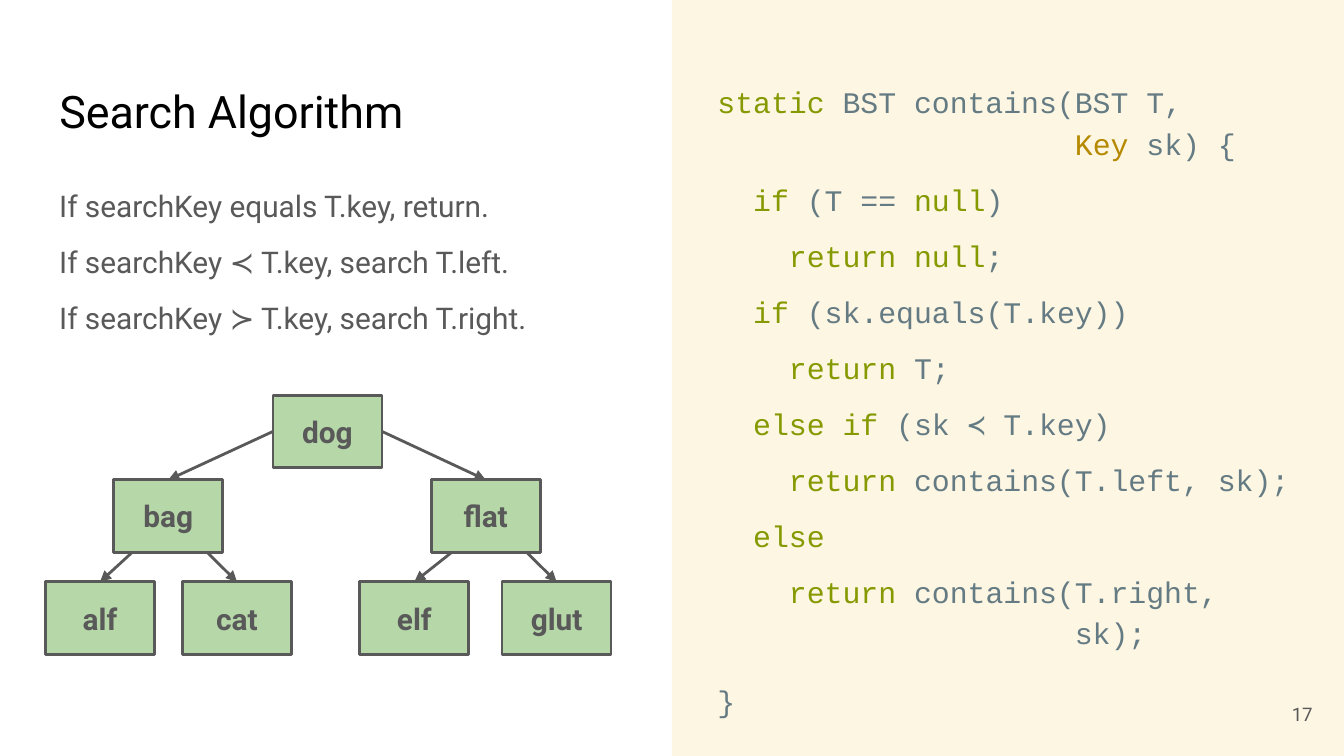
from copy import deepcopy

from lxml import etree
from pptx import Presentation
from pptx.dml.color import RGBColor
from pptx.enum import shapes, text
from pptx.oxml import ns
from pptx.util import Cm, Pt

SANS, MONO = "Roboto", "Courier New"
BLACK, GRAY, GREEN, CREAM = "000000", "595959", "B6D7A8", "FDF6E3"
CODE_PLAIN, CODE_KEYWORD, CODE_TYPE = "657B83", "859900", "B58900"
TYPES = {"Key"}

# Backticks enclose the highlighted words.
CODE = [
    "`static` BST contains(BST T,\n                    `Key` sk) {",
    "  `if` (T == `null`)",
    "    `return null`;",
    "  `if` (sk.equals(T.key))",
    "    `return` T;",
    "  `else if` (sk ≺ T.key)",
    "    `return` contains(T.left, sk);",
    "  `else`",
    "    `return` contains(T.right,\n                    sk);",
    "}",
]
RULES = [
    "If searchKey equals T.key, return.",
    "If searchKey ≺ T.key, search T.left.",
    "If searchKey ≻ T.key, search T.right.",
]

NODE_WIDTH, NODE_HEIGHT = 2.06, 1.37
LEVEL_TOPS = [0, 1.6, 3.53]
# key: (level, left)
NODES = {
    "dog": (0, 4.3), "bag": (1, 1.29), "flat": (1, 7.29),
    "alf": (2, 0), "cat": (2, 2.59), "elf": (2, 5.94), "glut": (2, 8.63),
}
ROOT_EDGES = [("bag", 1), ("flat", 3)]
# parent, child, start measured from the parent's top centre
LEAF_EDGES = [
    ("bag", "alf", -0.3, 1.02), ("bag", "cat", 0.5, 1.14),
    ("flat", "elf", -0.39, 1.17), ("flat", "glut", 0.57, 1.17),
]


def color(value):
    return RGBColor.from_string(value)


def add_run(paragraph, words, font, size, value, bold=False):
    run = paragraph.add_run()
    run.text = words
    run.font.name = font
    run.font.size = Pt(size)
    run.font.bold = bold
    run.font.color.rgb = color(value)
    return run


def set_frame(shape, anchor, side=0.25):
    frame = shape.text_frame
    frame.word_wrap = True
    frame.auto_size = text.MSO_AUTO_SIZE.NONE
    frame.vertical_anchor = anchor
    frame.margin_left = frame.margin_right = Cm(side)
    frame.margin_top = frame.margin_bottom = Cm(0.25)
    return frame


def add_text_box(slide, box, anchor=text.MSO_ANCHOR.TOP, side=0.25):
    shape = slide.shapes.add_textbox(*map(Cm, box))
    return set_frame(shape, anchor, side)


def add_rectangle(slide, box, fill):
    shape = slide.shapes.add_shape(shapes.MSO_SHAPE.RECTANGLE, *map(Cm, box))
    shape.shadow.inherit = False
    shape.fill.solid()
    shape.fill.fore_color.rgb = color(fill)
    shape.line.fill.background()
    return shape


def spaced_paragraphs(frame, count):
    for index in range(count):
        paragraph = frame.add_paragraph() if index else frame.paragraphs[0]
        paragraph.line_spacing = 1.15
        paragraph.space_before = Pt(8 if index else 0)
        yield paragraph


def add_title(slide, box):
    title = slide.shapes.title
    title.left, title.top, title.width, title.height = map(Cm, box)
    paragraph = set_frame(title, text.MSO_ANCHOR.BOTTOM).paragraphs[0]
    paragraph.alignment = text.PP_ALIGN.LEFT
    add_run(paragraph, "Search Algorithm", SANS, 24, BLACK)


def add_rules(slide, box):
    frame = add_text_box(slide, box)
    for paragraph, rule in zip(spaced_paragraphs(frame, len(RULES)), RULES):
        add_run(paragraph, rule, SANS, 16, GRAY)


def add_code(slide, box):
    frame = add_text_box(slide, box, side=0)
    for paragraph, line in zip(spaced_paragraphs(frame, len(CODE)), CODE):
        for index, part in enumerate(line.split("`")):
            value = CODE_PLAIN
            if index % 2:
                value = CODE_TYPE if part in TYPES else CODE_KEYWORD
            run = None
            for piece in part.split("\n"):
                if run is not None:
                    paragraph.add_line_break()
                    # The break takes the run's size, so the line keeps its height.
                    paragraph._p[-1].append(deepcopy(run._r.rPr))
                if piece:
                    run = add_run(paragraph, piece, MONO, 16, value)
    paragraph.line_spacing = 1.48


def add_code_panel(slide, box):
    left, top, width, height = box
    add_rectangle(slide, box, CREAM)
    add_code(slide, (left + 0.86, top + 1.24, width - 1.73, height - 2.83))
    number = (left + width - 1.86, top + height - 1.33, 1.52, 1.09)
    paragraph = add_text_box(slide, number, text.MSO_ANCHOR.MIDDLE).paragraphs[0]
    paragraph.alignment = text.PP_ALIGN.RIGHT
    add_run(paragraph, "17", SANS, 10, GRAY)


def add_node(slide, box, key):
    node = add_rectangle(slide, box, GREEN)
    node.line.color.rgb = color(GRAY)
    node.line.width = Pt(1.5)
    paragraph = set_frame(node, text.MSO_ANCHOR.MIDDLE).paragraphs[0]
    paragraph.alignment = text.PP_ALIGN.CENTER
    add_run(paragraph, key, SANS, 16, GRAY, bold=True)
    return node


def add_arrow(slide, start, child, behind):
    arrow = slide.shapes.add_connector(
        shapes.MSO_CONNECTOR.STRAIGHT, *start, child.left, child.top)
    arrow.end_connect(child, 0)
    arrow.line.color.rgb = color(GRAY)
    arrow.line.width = Pt(1.5)
    etree.SubElement(arrow.line._get_or_add_ln(), ns.qn("a:tailEnd"), type="triangle")
    etree.SubElement(arrow._element.spPr, ns.qn("a:effectLst"))
    behind._element.addprevious(arrow._element)
    return arrow


def add_tree(slide, left, top):
    nodes = {}
    for key, (level, offset) in NODES.items():
        box = (left + offset, top + LEVEL_TOPS[level], NODE_WIDTH, NODE_HEIGHT)
        nodes[key] = add_node(slide, box, key)
    root = nodes["dog"]
    for key, side in ROOT_EDGES:
        arrow = add_arrow(slide, (root.left, root.top), nodes[key], root)
        arrow.begin_connect(root, side)
    for parent_key, key, across, down in LEAF_EDGES:
        parent = nodes[parent_key]
        start = (parent.left + parent.width // 2 + Cm(across), parent.top + Cm(down))
        add_arrow(slide, start, nodes[key], root)


def main():
    presentation = Presentation()
    presentation.slide_width, presentation.slide_height = Cm(25.4), Cm(14.29)
    slide = presentation.slides.add_slide(presentation.slide_layouts[5])
    add_code_panel(slide, (12.7, 0, 12.7, 14.29))
    add_title(slide, (0.87, 1.24, 10.97, 1.6))
    add_rules(slide, (0.87, 3.2, 10.67, 3.43))
    add_tree(slide, 0.86, 7.47)
    presentation.save("out.pptx")


if __name__ == "__main__":
    main()
